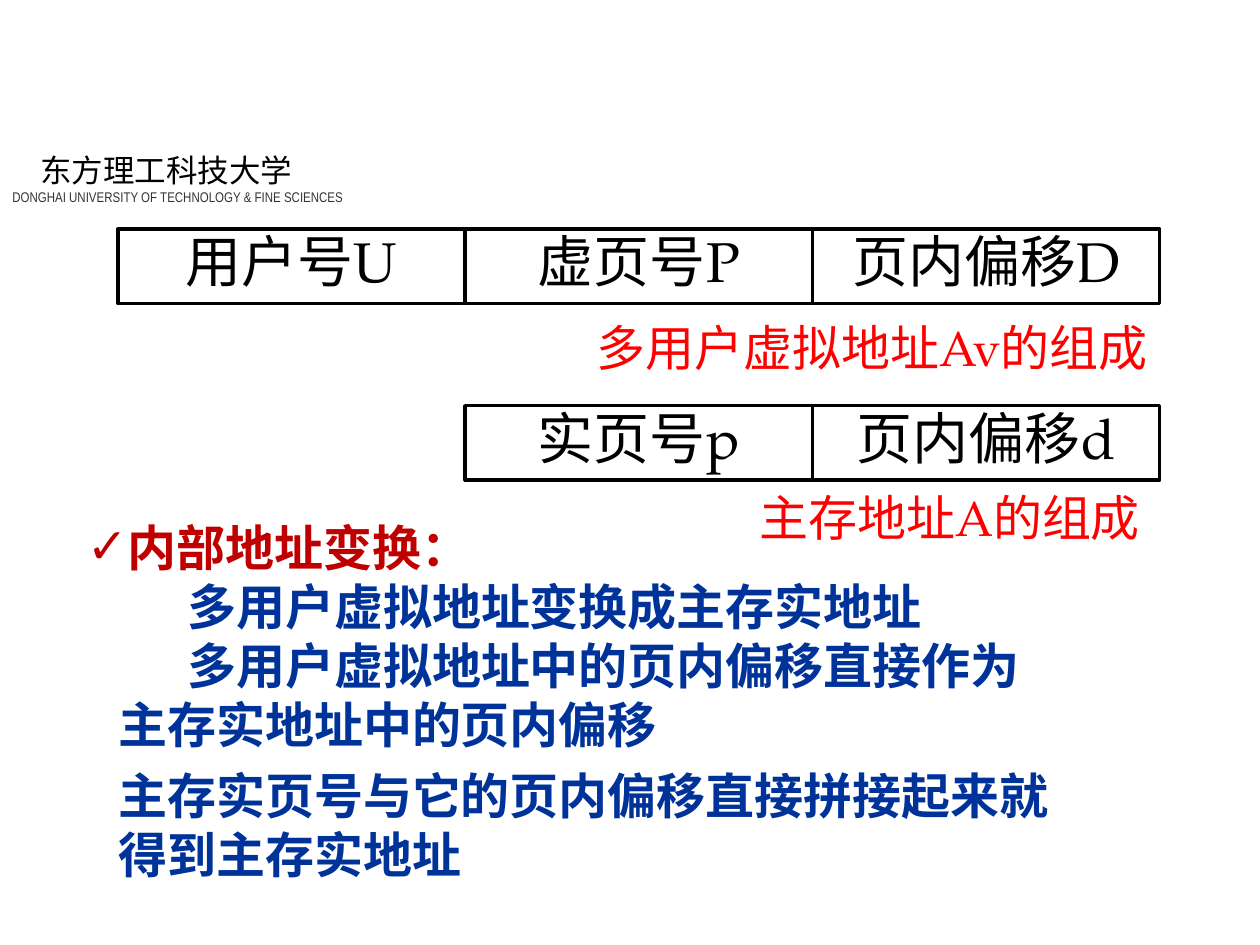
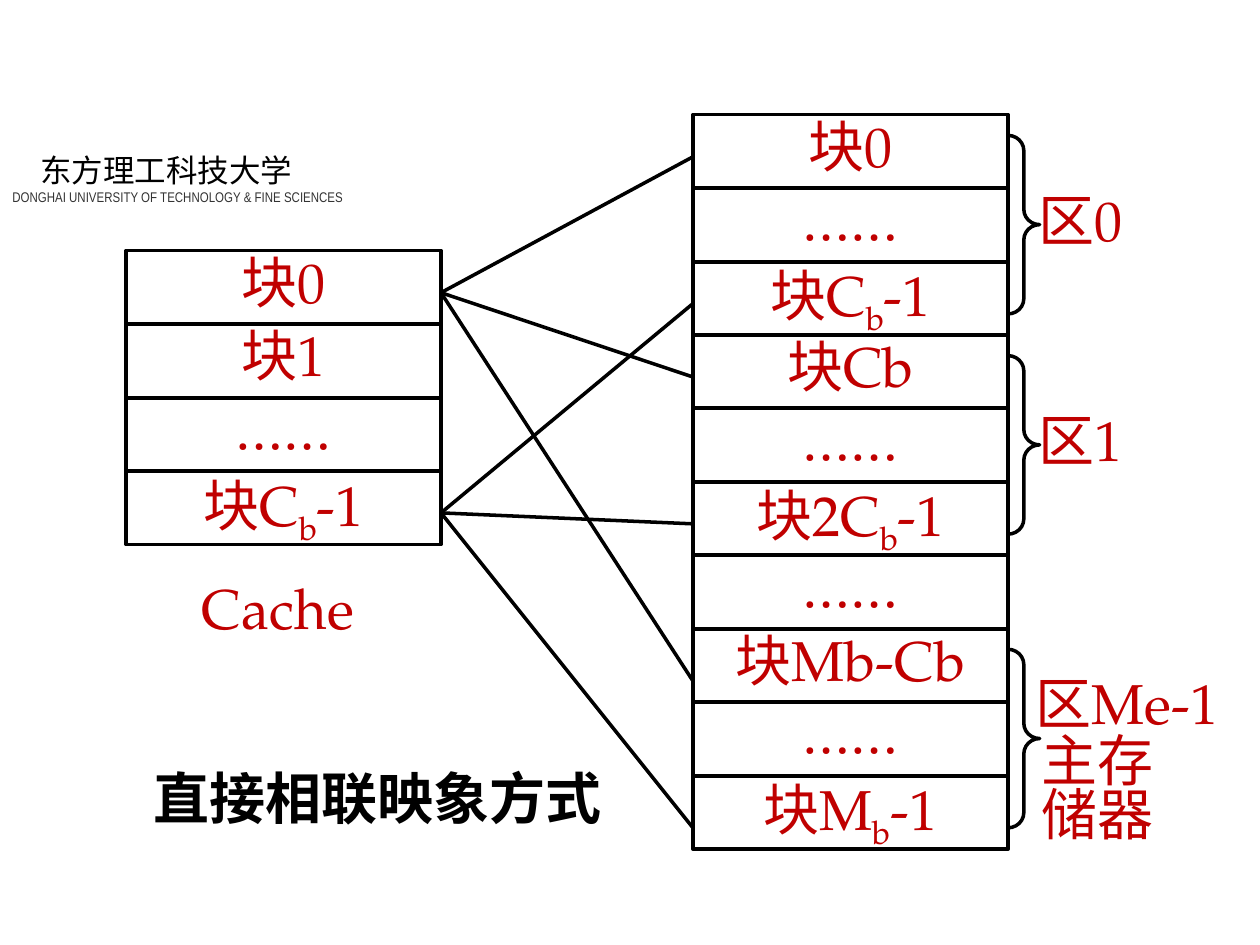
from lxml.etree import SubElement
from pptx import Presentation
from pptx.dml.color import RGBColor
from pptx.enum.shapes import MSO_CONNECTOR, MSO_SHAPE
from pptx.enum.text import MSO_ANCHOR, PP_ALIGN
from pptx.oxml.ns import qn
from pptx.util import Cm, Pt

SERIF = "TeX Gyre Pagella"
BLACK, GREY, RED = "000000", "333333", "FF0000"
CRIMSON, NAVY = "C00000", "003399"
LINE_WIDTH = Pt(2)
ROW_PITCH, ROW_HEIGHT = 1.48, 1.49
ELLIPSIS = "……"


def color(hex_value):
    return RGBColor.from_string(hex_value)


def add_run(paragraph, text, size, hex_value, font=SERIF, bold=False, baseline=0):
    for index, line in enumerate(text.split("\n")):
        if index:
            paragraph.add_line_break()
        if not line:
            continue
        run = paragraph.add_run()
        run.text = line
        run.font.name = font
        run.font.size = Pt(size)
        run.font.bold = bold
        run.font.color.rgb = color(hex_value)
        if baseline:
            run._r.get_or_add_rPr().set("baseline", str(baseline))


def write_label(shape, text, size, hex_value, align=PP_ALIGN.CENTER, bold=False):
    frame = shape.text_frame
    frame.word_wrap = False
    frame.vertical_anchor = MSO_ANCHOR.MIDDLE
    frame.margin_left = frame.margin_right = Cm(0.2)
    frame.margin_top = frame.margin_bottom = Cm(0.1)
    paragraph = frame.paragraphs[0]
    paragraph.alignment = align
    paragraph.line_spacing = 0.8
    for index, piece in enumerate(text.split("|")):
        baseline = -25000 if index % 2 else 0
        add_run(paragraph, piece, size, hex_value, bold=bold, baseline=baseline)


def add_caption(slide, box, text, size=32, hex_value=CRIMSON, **style):
    shape = slide.shapes.add_textbox(*map(Cm, box))
    write_label(shape, text, size, hex_value, **style)


def add_outline(slide, kind, box):
    shape = slide.shapes.add_shape(kind, *map(Cm, box))
    shape.shadow.inherit = False
    shape.fill.background()
    shape.line.color.rgb = color(BLACK)
    shape.line.width = LINE_WIDTH
    return shape


def add_cell(slide, box, text, hex_value):
    shape = add_outline(slide, MSO_SHAPE.RECTANGLE, box)
    write_label(shape, text, 32, hex_value)


def add_school_header(slide, box):
    frame = slide.shapes.add_textbox(*map(Cm, box)).text_frame
    frame.word_wrap = True
    name = frame.paragraphs[0]
    name._p.get_or_add_pPr().set("indent", str(Cm(0.56)))
    add_run(name, "东方理工科技大学", 18, BLACK, "Arial")
    translation = frame.add_paragraph()
    add_run(translation, "DONGHAI UNIVERSITY OF TECHNOLOGY & FINE SCIENCES",
            8, GREY, "Arial Narrow")


def add_address_fields(slide, box, fields):
    left, top, width, height = box
    for index, field in enumerate(fields):
        cell = (left + index * width, top, width, height)
        add_cell(slide, cell, field, BLACK)


def add_block_column(slide, box, blocks):
    left, top, width = box
    for index, block in enumerate(blocks):
        cell = (left, top + index * ROW_PITCH, width, ROW_HEIGHT)
        add_cell(slide, cell, block, CRIMSON)


def add_link(slide, start, end):
    connector = slide.shapes.add_connector(
        MSO_CONNECTOR.STRAIGHT, *map(Cm, (*start, *end)))
    connector.line.color.rgb = color(BLACK)
    connector.line.width = LINE_WIDTH
    SubElement(connector._element.spPr, qn("a:effectLst"))


def add_zone(slide, box, text, label_left, label_drop, label_width):
    left, top, width, height = box
    brace = add_outline(slide, MSO_SHAPE.RIGHT_BRACE, box)
    brace.adjustments[0] = 0.48
    label = (left + label_left, top + label_drop, label_width, 1.07)
    add_caption(slide, label, text, align=PP_ALIGN.LEFT)


def add_translation_notes(slide, box):
    frame = slide.shapes.add_textbox(*map(Cm, box)).text_frame
    frame.word_wrap = True
    heading, joining = frame.paragraphs[0], frame.add_paragraph()
    for paragraph, indent in ((heading, -0.64), (joining, 0)):
        paragraph.space_before = Pt(7)
        properties = paragraph._p.get_or_add_pPr()
        properties.set("marL", str(Cm(4.45)))
        properties.set("indent", str(Cm(indent)))

    properties = heading._p.get_or_add_pPr()
    bullet_color = SubElement(properties, qn("a:buClr"))
    SubElement(bullet_color, qn("a:srgbClr"), val=CRIMSON)
    SubElement(properties, qn("a:buFont"), typeface="Arial")
    SubElement(properties, qn("a:buChar"), char="✓")
    tabs = SubElement(properties, qn("a:tabLst"))
    SubElement(tabs, qn("a:tab"), pos=str(Cm(5.84)), algn="l")

    style = {"font": "Times New Roman", "bold": True}
    add_run(heading, "内部地址变换：\n\t", 28, CRIMSON, **style)
    add_run(heading, "多用户虚拟地址变换成主存实地址\n"
            "\t多用户虚拟地址中的页内偏移直接作为主存实地址中的页内偏移",
            28, NAVY, **style)
    add_run(joining, "主存实页号与它的页内偏移直接拼接起来就得到主存实地址",
            28, NAVY, **style)


def new_slide(presentation):
    slide = presentation.slides.add_slide(presentation.slide_layouts[6])
    add_school_header(slide, (0, 2.92, 7.7, 1.7))
    return slide


def build_address_slide(presentation):
    slide = new_slide(presentation)
    add_address_fields(slide, (2.38, 4.62, 7, 1.5),
                       ["用户号U", "虚页号P", "页内偏移D"])
    add_caption(slide, (11.38, 6.73, 12.4, 0.74),
                "多用户虚拟地址Av的组成", 28, RED)
    add_address_fields(slide, (9.38, 8.18, 7, 1.5), ["实页号p", "页内偏移d"])
    add_caption(slide, (14.6, 9.98, 9.09, 1.09), "主存地址A的组成", 28, RED)
    add_translation_notes(slide, (-2.31, 10.31, 23.9, 8.03))


def build_mapping_slide(presentation):
    slide = new_slide(presentation)
    cache_left, cache_top = 2.54, 5.05
    memory_left, memory_top = 13.97, 2.31
    width = 6.35
    add_block_column(slide, (cache_left, cache_top, width),
                     ["块0", "块1", ELLIPSIS, "块C|b|-1"])
    add_block_column(slide, (memory_left, memory_top, width),
                     ["块0", ELLIPSIS, "块C|b|-1", "块Cb", ELLIPSIS, "块2C|b|-1",
                      ELLIPSIS, "块Mb-Cb", ELLIPSIS, "块M|b|-1"])

    links = {0: [(0, 0.85), (3, 0.85), (7, 1.06)],
             3: [(2, 0.85), (5, 0.85), (9, 1.06)]}
    for cache_row, targets in links.items():
        start = (cache_left + width, cache_top + cache_row * ROW_PITCH + 0.85)
        for memory_row, drop in targets:
            end = (memory_left, memory_top + memory_row * ROW_PITCH + drop)
            add_link(slide, start, end)

    zones = [(0, "区0", 0.41, 1.27, 3.2),
             (3, "区1", 0.41, 1.27, 3.2),
             (7, "区Me-1", 0.36, 0.66, 4.7)]
    for row, *label in zones:
        top = memory_top + row * ROW_PITCH + 0.42
        add_zone(slide, (memory_left + width, top, 0.64, 3.6), *label)

    add_caption(slide, (3.38, 11.84, 4.45, 1.07), "Cache")
    add_caption(slide, (20.75, 14.81, 2.74, 2.34), "主存\n储器")
    add_caption(slide, (1.27, 15.67, 12.7, 1.07), "直接相联映象方式",
                hex_value=BLACK, bold=True)


def main():
    presentation = Presentation()
    presentation.slide_width = Cm(25.4)
    presentation.slide_height = Cm(19.05)
    build_address_slide(presentation)
    build_mapping_slide(presentation)
    presentation.save("out.pptx")


if __name__ == "__main__":
    main()
